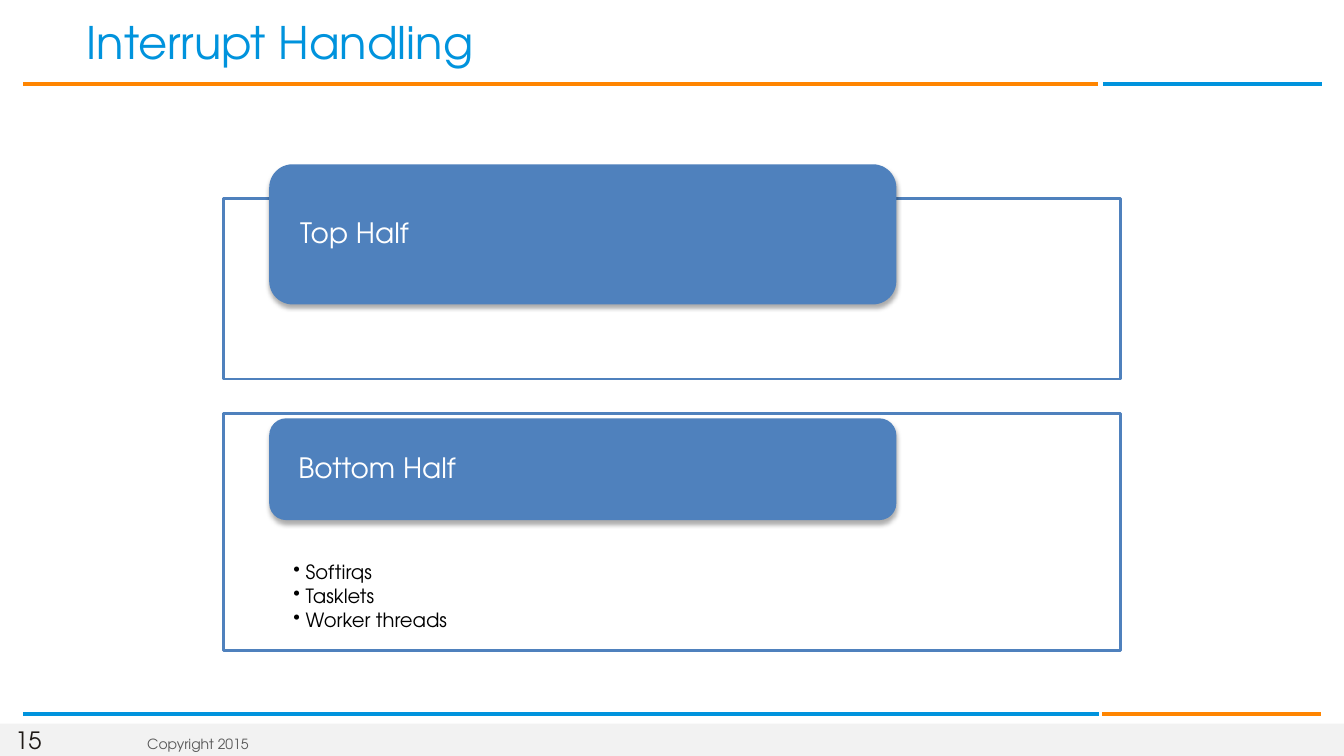
from typing import NamedTuple

from lxml import etree
from pptx import Presentation
from pptx.dml.color import RGBColor
from pptx.enum.shapes import MSO_CONNECTOR, MSO_SHAPE
from pptx.enum.text import MSO_ANCHOR
from pptx.oxml.ns import qn
from pptx.util import Inches, Pt

RECT = MSO_SHAPE.RECTANGLE
ROUND_RECT = MSO_SHAPE.ROUNDED_RECTANGLE
STRAIGHT = MSO_CONNECTOR.STRAIGHT
MIDDLE = MSO_ANCHOR.MIDDLE
TOP = MSO_ANCHOR.TOP

FONT = "TeX Gyre Adventor"
WHITE = RGBColor(0xFF, 0xFF, 0xFF)
BLACK = RGBColor(0x00, 0x00, 0x00)
INK = RGBColor(0x1F, 0x1A, 0x17)
GREY = RGBColor(0x59, 0x59, 0x59)
FOOTER_GREY = RGBColor(0xF2, 0xF2, 0xF2)
SKY = RGBColor(0x00, 0x93, 0xDD)
ORANGE = RGBColor(0xFF, 0x85, 0x00)
BLUE = RGBColor(0x4F, 0x81, 0xBD)


class Rule(NamedTuple):
    left: float
    right: float
    y: float
    color: RGBColor


class Label(NamedTuple):
    text: str
    box: tuple[float, float, float, float]
    size: float
    color: RGBColor
    insets: tuple[float, float, float, float]
    wrap: bool = True


class Panel(NamedTuple):
    title: str
    top: float
    height: float
    tab_top: float
    tab_height: float
    items: tuple[str, ...] = ()


RULES = [
    Rule(0.23, 10.89, 0.83, ORANGE),
    Rule(10.94, 13.11, 0.83, SKY),
    Rule(0.23, 10.9, 7.08, SKY),
    Rule(10.93, 13.1, 7.08, ORANGE),
]
LABELS = [
    Label("15", (0.15, 7.2, 0.29, 0.29), 17, INK, (0, 0, 0, 0), False),
    Label("Copyright 2015", (1.33, 7.3, 3.81, 0.16), 10, GREY, (0.13, 0.07, 0.13, 0.07)),
    Label("Interrupt Handling", (0.73, 0.14, 12.6, 0.54), 32, SKY, (0.13, 0.06, 0.07, 0.06)),
]
PANELS = [
    Panel("Top Half", 1.97, 1.79, 1.63, 1.39),
    Panel("Bottom Half", 4.1, 2.35, 4.15, 1.01, ("Softirqs", "Tasklets", "Worker threads")),
]
PANEL_LEFT, PANEL_WIDTH = 2.22, 8.89
TAB_LEFT, TAB_WIDTH = 2.67, 6.22
CORNER = 0.1667
CORNER_INSET = 0.29


def setup_frame(tf, insets, anchor, wrap=True):
    tf.margin_left, tf.margin_top, tf.margin_right, tf.margin_bottom = map(Inches, insets)
    tf.vertical_anchor = anchor
    tf.word_wrap = wrap


def add_run(p, text: str, size: float, color: RGBColor):
    r = p.add_run()
    r.text = text
    r.font.name = FONT
    r.font.size = Pt(size)
    r.font.color.rgb = color


def add_box(s, kind, box, fill: RGBColor):
    sp = s.shapes.add_shape(kind, *map(Inches, box))
    sp.shadow.inherit = False
    sp.fill.solid()
    sp.fill.fore_color.rgb = fill
    sp.line.fill.background()
    return sp


def add_rule(s, rule: Rule):
    y = Inches(rule.y)
    line = s.shapes.add_connector(STRAIGHT, Inches(rule.left), y, Inches(rule.right), y)
    line.line.color.rgb = rule.color
    line.line.width = Pt(3)
    etree.SubElement(line._element.spPr, qn("a:effectLst"))


def add_label(s, label: Label):
    tf = s.shapes.add_textbox(*map(Inches, label.box)).text_frame
    setup_frame(tf, label.insets, MIDDLE, label.wrap)
    add_run(tf.paragraphs[0], label.text, label.size, label.color)


def add_shadow(sp):
    effects = sp._element.spPr.find(qn("a:effectLst"))
    shadow = etree.SubElement(
        effects, qn("a:outerShdw"), blurRad=str(Pt(3.5)), dist=str(Pt(2.2)),
        dir="5400000", rotWithShape="0")
    color = etree.SubElement(shadow, qn("a:srgbClr"), val=str(BLACK))
    etree.SubElement(color, qn("a:alpha"), val="32000")


def add_bullets(tf, items: tuple[str, ...]):
    setup_frame(tf, (0.69, 1.48, 0.69, 0.11), TOP)
    for i, item in enumerate(items):
        p = tf.paragraphs[0] if i == 0 else tf.add_paragraph()
        p.level = 1
        p.line_spacing = 0.9
        p.space_after = Pt(2)
        pPr = p._p.get_or_add_pPr()
        pPr.set("marL", str(Inches(0.12)))
        pPr.set("indent", str(Inches(-0.12)))
        pPr.set("algn", "l")
        etree.SubElement(pPr, qn("a:buChar"), char="•")
        add_run(p, item, 14, BLACK)


def add_panel(s, panel: Panel):
    frame = add_box(s, RECT, (PANEL_LEFT, panel.top, PANEL_WIDTH, panel.height), WHITE)
    color = frame._element.spPr.find(qn("a:solidFill"))[0]
    etree.SubElement(color, qn("a:alpha"), val="90000")
    frame.line.color.rgb = BLUE
    frame.line.width = Pt(2)
    if panel.items:
        add_bullets(frame.text_frame, panel.items)

    tab = add_box(s, ROUND_RECT, (TAB_LEFT, panel.tab_top, TAB_WIDTH, panel.tab_height), BLUE)
    tab.adjustments[0] = CORNER
    add_shadow(tab)
    inset = panel.tab_height * CORNER * CORNER_INSET
    box = (TAB_LEFT + inset, panel.tab_top + inset,
           TAB_WIDTH - 2 * inset, panel.tab_height - 2 * inset)
    tf = s.shapes.add_textbox(*map(Inches, box)).text_frame
    setup_frame(tf, (0.24, 0, 0.24, 0), MIDDLE)
    p = tf.paragraphs[0]
    p.line_spacing = 0.9
    p.space_after = Pt(7)
    add_run(p, panel.title, 20, WHITE)


def main():
    prs = Presentation()
    prs.slide_width, prs.slide_height = Inches(13.33), Inches(7.5)
    s = prs.slides.add_slide(prs.slide_layouts[6])
    add_box(s, RECT, (0, 7.18, 13.33, 0.32), FOOTER_GREY)
    for rule in RULES:
        add_rule(s, rule)
    for label in LABELS:
        add_label(s, label)
    for panel in PANELS:
        add_panel(s, panel)
    prs.save("out.pptx")


if __name__ == "__main__":
    main()
